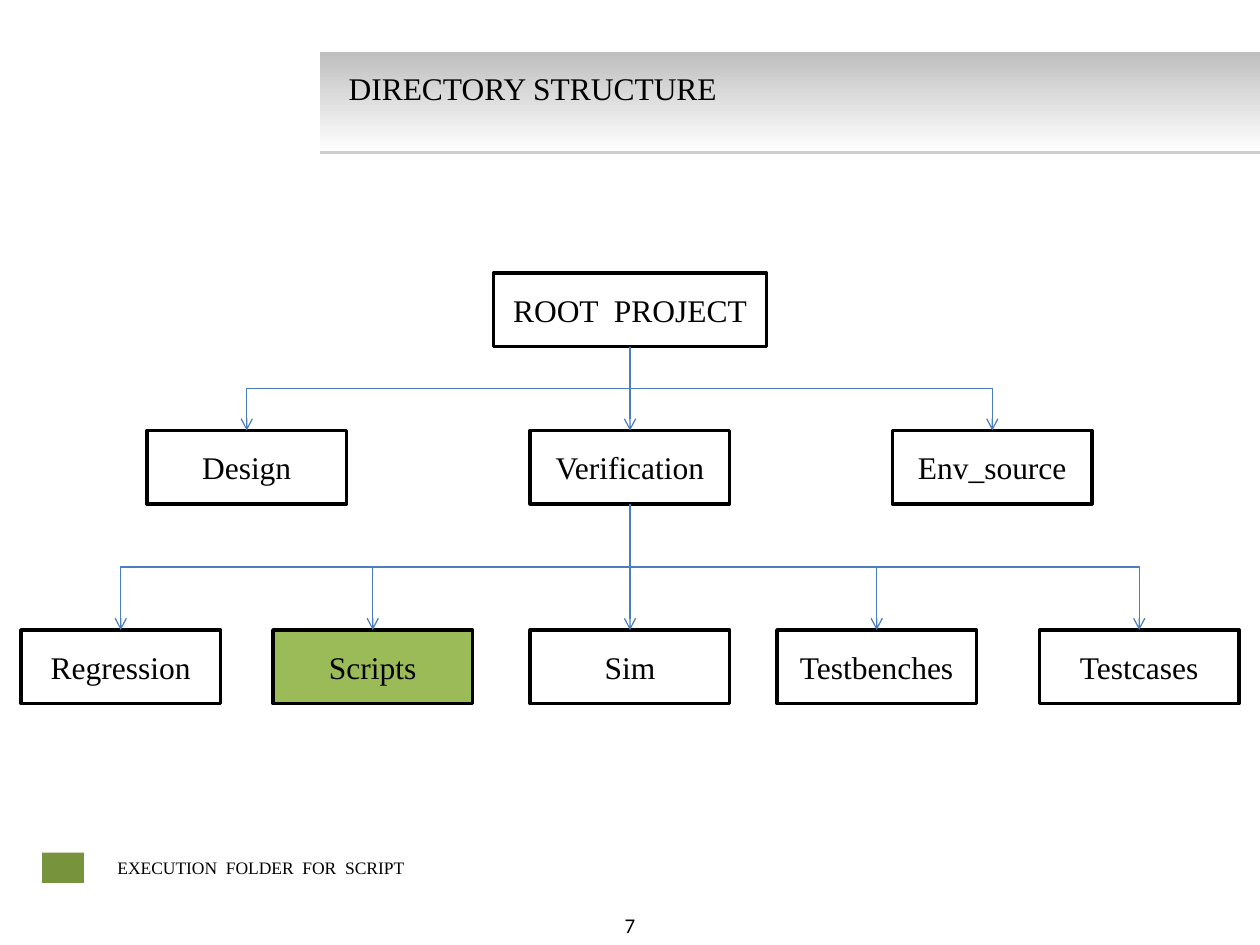
from dataclasses import dataclass

from lxml import etree
from pptx import Presentation
from pptx.dml.color import RGBColor
from pptx.enum.shapes import MSO_CONNECTOR, MSO_SHAPE
from pptx.enum.text import MSO_ANCHOR, MSO_AUTO_SIZE, PP_ALIGN
from pptx.oxml.ns import qn
from pptx.util import Inches, Pt

RECT = MSO_SHAPE.RECTANGLE
LINE, ELBOW = MSO_CONNECTOR.STRAIGHT, MSO_CONNECTOR.ELBOW
LEFT, MID = PP_ALIGN.LEFT, PP_ALIGN.CENTER
TOP, CENTER = MSO_ANCHOR.TOP, MSO_ANCHOR.MIDDLE
FIXED = MSO_AUTO_SIZE.NONE
CELL = Inches(1) // 12
COLS, ROWS = 120, 90


@dataclass(frozen=True)
class Theme:
    """Colours, fonts and type sizes of the slide."""
    ink: str = "000000"
    paper: str = "FFFFFF"
    band: str = "BFBFBF"
    shade: str = "808080"
    wire: str = "4B7EBC"
    mark: str = "9BBB59"
    key: str = "77933C"
    serif: str = "Times New Roman"
    sans: str = "Calibri"
    head: int = 18
    page: int = 12
    note: int = 10


THEME = Theme()


def rgb(code):
    """Turn a hex code into a colour."""
    return RGBColor.from_string(code)


def grid(box):
    """Turn columns and rows into slide lengths."""
    return [round(n * CELL) for n in box]


def write(shape, text, size=THEME.head, font=THEME.serif, align=LEFT, anchor=TOP):
    """Put formatted text into a shape."""
    frame = shape.text_frame
    frame.word_wrap = True
    frame.auto_size = FIXED
    frame.vertical_anchor = anchor
    para = frame.paragraphs[0]
    para.alignment = align
    run = para.add_run()
    run.text = text
    run.font.size, run.font.name = Pt(size), font
    run.font.color.rgb = rgb(THEME.ink)


def label(slide, box, text, **form):
    """Add a text box."""
    write(slide.shapes.add_textbox(*grid(box)), text, **form)


def block(slide, box, fill=None, edge=None):
    """Add a flat rectangle."""
    shape = slide.shapes.add_shape(RECT, *grid(box))
    shape.shadow.inherit = False
    if fill:
        shape.fill.solid()
        shape.fill.fore_color.rgb = rgb(fill)
    if edge:
        shape.line.color.rgb = rgb(edge)
        shape.line.width = Pt(2)
    else:
        shape.line.fill.background()
    return shape


def node(slide, mid, top, text, wide=19, fill=THEME.paper):
    """Add a folder box centred on a column."""
    shape = block(slide, (mid - wide / 2, top, wide, 7), fill, THEME.ink)
    write(shape, text, align=MID, anchor=CENTER)
    return shape


def turn(wire, start, end):
    """Rotate an elbow so that it leaves downwards."""
    x, y = start.left + start.width // 2, start.top + start.height
    dx, dy = end.left + end.width // 2 - x, end.top - y
    wire.left, wire.top = x + (dx - dy) // 2, y + (dy - abs(dx)) // 2
    wire.width, wire.height = dy, abs(dx)
    form = wire.element.spPr.find(qn("a:xfrm"))
    for name in ("flipH", "flipV"):
        form.attrib.pop(name, None)
    form.set("rot", str((90 if dx < 0 else 270) * 60000))
    if dx > 0:
        form.set("flipH", "1")


def link(slide, start, end):
    """Join a folder to its child with an arrow."""
    plumb = abs(start.left + start.width / 2 - end.left - end.width / 2) < CELL / 10
    wire = slide.shapes.add_connector(LINE if plumb else ELBOW, 0, 0, 0, 0)
    wire.begin_connect(start, 2)
    wire.end_connect(end, 0)
    if not plumb:
        turn(wire, start, end)
    wire.line.color.rgb = rgb(THEME.wire)
    wire.line.width = Pt(0.75)
    etree.SubElement(wire.line._get_or_add_ln(), qn("a:tailEnd"), type="arrow")
    etree.SubElement(wire.element.spPr, qn("a:effectLst"))


def header(slide, box):
    """Draw the shaded band and the title."""
    x, y, wide, high = box
    band = block(slide, box)
    band.fill.gradient()
    band.fill.gradient_angle = 270
    for stop, code, spot in zip(band.fill.gradient_stops, (THEME.band, THEME.paper), (0, 1)):
        stop.color.rgb, stop.position = rgb(code), spot
    glow = band.element.spPr.find(qn("a:effectLst"))
    drop = etree.SubElement(glow, qn("a:outerShdw"), blurRad="0", dist=str(Pt(1.6)),
                            dir="5400000", algn="t", rotWithShape="0")
    tone = etree.SubElement(drop, qn("a:srgbClr"), val=THEME.shade)
    etree.SubElement(tone, qn("a:alpha"), val="38000")
    title = slide.shapes.title
    title.left, title.top, title.width, title.height = grid((x + 1.5, y + 1, 77, 4.8))
    write(title, "DIRECTORY STRUCTURE")
    band.element.addnext(title.element)


def tree(slide, box):
    """Draw the folder tree in three tiers."""
    x, y, wide, high = box
    root = node(slide, x + wide / 2, y, "ROOT  PROJECT", wide=26)
    tiers = [
        (15, {"Design": 21.5, "Verification": 58, "Env_source": 92.5}),
        (34, {"Regression": 9.5, "Scripts": 33.5, "Sim": 58,
              "Testbenches": 81.5, "Testcases": 106.5}),
    ]
    for row, names in tiers:
        kids = {name: node(slide, x + mid, y + row, name,
                           fill=THEME.mark if name == "Scripts" else THEME.paper)
                for name, mid in names.items()}
        for kid in kids.values():
            link(slide, root, kid)
        root = kids.get("Verification")


def legend(slide, box):
    """Explain the marked folder."""
    x, y, wide, high = box
    block(slide, (x, y + 0.2, 4, 2.9), THEME.key)
    label(slide, (x + 6, y, wide - 6, high), "EXECUTION  FOLDER  FOR  SCRIPT", size=THEME.note)


def footer(slide, box):
    """Write the page number."""
    label(slide, box, "7", size=THEME.page, font=THEME.sans, align=MID, anchor=CENTER)


def main():
    """Build and save the slide."""
    deck = Presentation()
    deck.slide_width, deck.slide_height = grid((COLS, ROWS))
    slide = deck.slides.add_slide(deck.slide_layouts[5])
    header(slide, (30.5, 5, 89.5, 9.4))
    tree(slide, (2, 26, 116, 41))
    legend(slide, (4, 81, 40, 3.2))
    footer(slide, (46, 86.3, 28, 3.7))
    deck.save("out.pptx")


if __name__ == "__main__":
    main()
